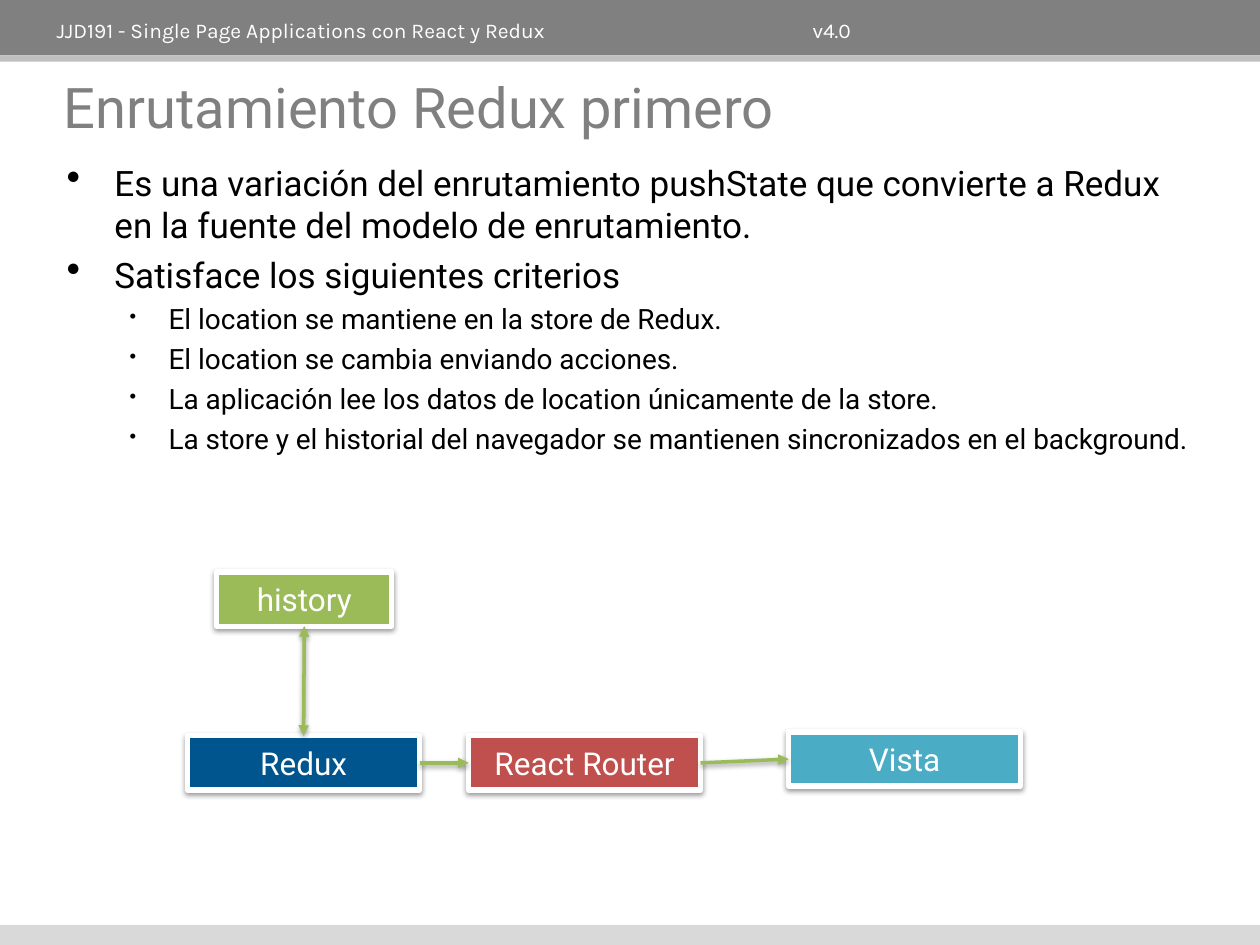
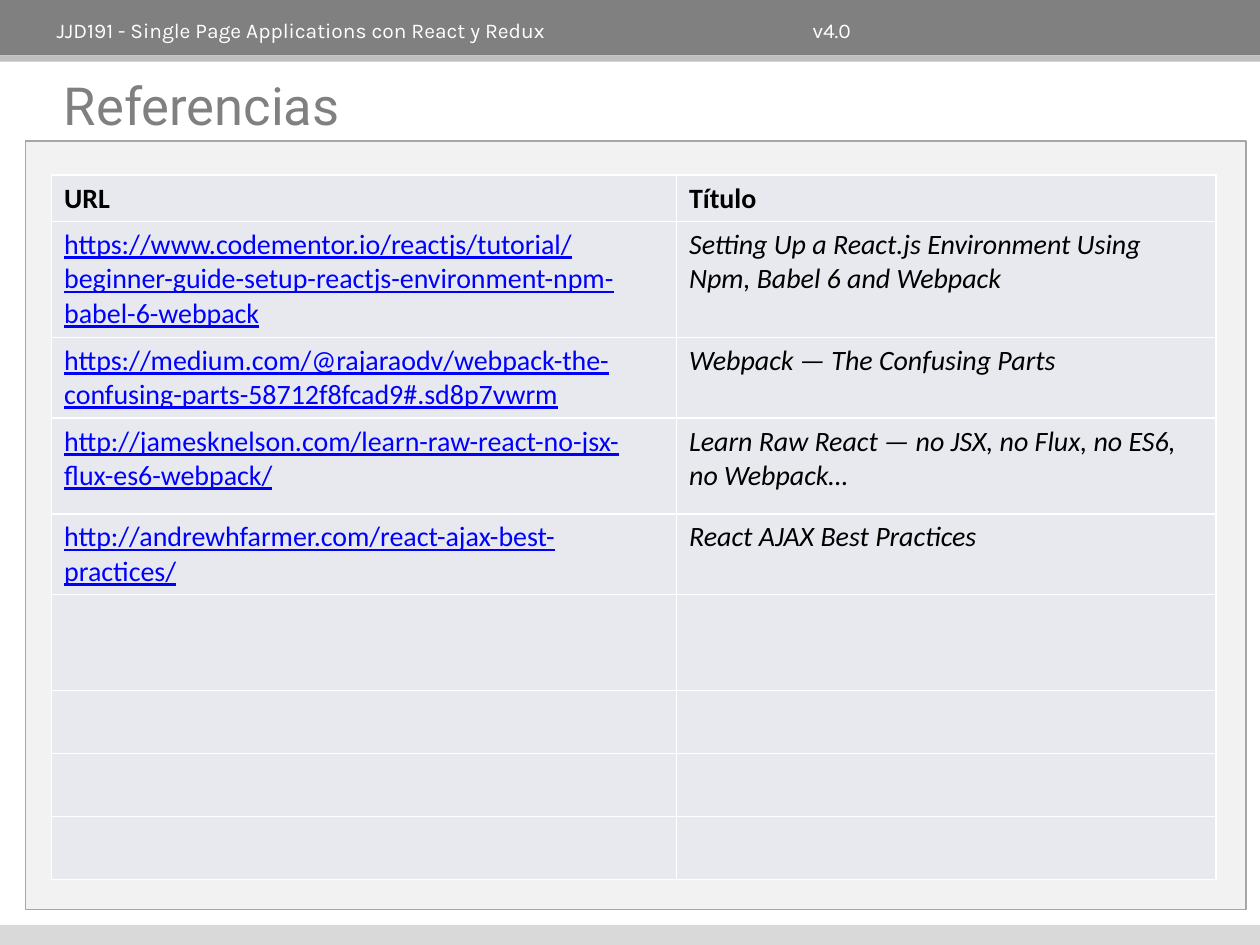
from dataclasses import dataclass

from lxml.etree import SubElement
from pptx import Presentation
from pptx.dml.color import RGBColor
from pptx.enum.shapes import MSO_CONNECTOR, MSO_SHAPE
from pptx.enum.text import MSO_ANCHOR, PP_ALIGN
from pptx.oxml.ns import qn
from pptx.util import Inches, Pt


@dataclass(frozen=True)
class Theme:
    white: str = "FFFFFF"
    black: str = "000000"
    gray: str = "808080"
    band_edge: str = "BFBFBF"
    footer: str = "D9D9D9"
    panel: str = "F2F2F2"
    panel_line: str = "A6A6A6"
    cell: str = "E7E9EE"
    link: str = "0000FF"
    green: str = "9BBB59"
    red: str = "C0504D"
    cyan: str = "4BACC6"
    blue: str = "00558E"
    font: str = "Roboto"
    header_font: str = "Karla"
    table_font: str = "Calibri"
    title_size: int = 32
    short_title_size: int = 30
    bullet_sizes: tuple = (20, 16)
    node_size: int = 18
    table_size: int = 16
    header_size: int = 12


THEME = Theme()
SLIDE_WIDTH, SLIDE_HEIGHT = Inches(10), Inches(7.5)
GRID_COLUMNS, GRID_ROWS = 10, 7.5
TOP, LEFT, BOTTOM, RIGHT = range(4)

# Bullet levels: left margin, hanging indent, bullet size in percent
BULLET_LEVELS = ((0.38, 0.38, 115), (0.81, 0.31, 70))

CRITERIA = [
    (0, "Es una variación del enrutamiento pushState que convierte a Redux "
        "en la fuente del modelo de enrutamiento."),
    (0, "Satisface los siguientes criterios"),
    (1, "El location se mantiene en la store de Redux."),
    (1, "El location se cambia enviando acciones."),
    (1, "La aplicación lee los datos de location únicamente de la store."),
    (1, "La store y el historial del navegador se mantienen sincronizados "
        "en el background."),
]

REFERENCES = [
    ("https://www.codementor.io/reactjs/tutorial/"
     "beginner-guide-setup-reactjs-environment-npm-babel-6-webpack",
     "Setting Up a React.js Environment Using Npm, Babel 6 and Webpack"),
    ("https://medium.com/@rajaraodv/"
     "webpack-the-confusing-parts-58712f8fcad9#.sd8p7vwrm",
     "Webpack — The Confusing Parts"),
    ("http://jamesknelson.com/learn-raw-react-no-jsx-flux-es6-webpack/",
     "Learn Raw React — no JSX, no Flux, no ES6, no Webpack…"),
    ("http://andrewhfarmer.com/react-ajax-best-practices/",
     "React AJAX Best Practices"),
]
REFERENCE_COLUMNS = (4.96, 4.28)
REFERENCE_ROWS = (0.37, 0.92, 0.64, 0.76, 0.64, 0.76, 0.5, 0.5, 0.5)


def across(columns):
    return round(SLIDE_WIDTH * columns / GRID_COLUMNS)


def down(rows):
    return round(SLIDE_HEIGHT * rows / GRID_ROWS)


def place(column, row, columns, rows):
    return across(column), down(row), across(columns), down(rows)


def rgb(color):
    return RGBColor.from_string(color)


def style(paragraph, size, color, name=THEME.font, **flags):
    font = paragraph.font
    font.size, font.name = Pt(size), name
    font.color.rgb = rgb(color)
    for flag, value in flags.items():
        setattr(font, flag, value)


def add_rectangle(slide, area, fill, line=None, line_width=1):
    shape = slide.shapes.add_shape(MSO_SHAPE.RECTANGLE, *place(*area))
    shape.fill.solid()
    shape.fill.fore_color.rgb = rgb(fill)
    if line:
        shape.line.color.rgb = rgb(line)
        shape.line.width = Pt(line_width)
    else:
        shape.line.fill.background()
    shape.shadow.inherit = False
    return shape


def add_text_box(slide, area):
    frame = slide.shapes.add_textbox(*place(*area)).text_frame
    frame.word_wrap = True
    return frame


def add_soft_shadow(properties):
    """Put a faint shadow straight below the shape with these spPr properties."""
    effects = properties.find(qn("a:effectLst"))
    if effects is None:
        effects = SubElement(properties, qn("a:effectLst"))
    shadow = SubElement(effects, qn("a:outerShdw"), blurRad=str(Pt(3.1)),
                        dist=str(Pt(1.6)), dir="5400000", rotWithShape="0")
    color = SubElement(shadow, qn("a:srgbClr"), val=THEME.black)
    SubElement(color, qn("a:alpha"), val="38000")


def add_header_text(slide):
    paragraph = add_text_box(slide, (0.35, 0.09, 8.45, 0.31)).paragraphs[0]
    paragraph.text = "JJD191 - Single Page Applications con React y Redux\tv4.0"
    tabs = SubElement(paragraph._p.get_or_add_pPr(), qn("a:tabLst"))
    SubElement(tabs, qn("a:tab"), pos=str(across(6)), algn="l")
    style(paragraph, THEME.header_size, THEME.white, THEME.header_font)


def add_framed_slide(presentation):
    """Add a blank slide with the header and footer bands."""
    slide = presentation.slides.add_slide(presentation.slide_layouts[6])
    add_rectangle(slide, (0, 0, GRID_COLUMNS, 0.44), THEME.gray)
    add_header_text(slide)
    add_rectangle(slide, (0, 0.44, GRID_COLUMNS, 0.05), THEME.band_edge)
    add_rectangle(slide, (0, 7.34, GRID_COLUMNS, 0.16), THEME.footer)
    return slide


def add_title(slide, text, size=THEME.title_size):
    paragraph = add_text_box(slide, (0.41, 0.53, 9.47, 0.6)).paragraphs[0]
    paragraph.text = text
    style(paragraph, size, THEME.gray)


def add_bullets(slide, area, items):
    frame = add_text_box(slide, area)
    for index, (level, text) in enumerate(items):
        paragraph = frame.add_paragraph() if index else frame.paragraphs[0]
        paragraph.text, paragraph.level = text, level
        margin, hanging, bullet_size = BULLET_LEVELS[level]
        size = THEME.bullet_sizes[level]
        if index:
            paragraph.space_before = Pt(round(size * 0.23, 1))
        properties = paragraph._p.get_or_add_pPr()
        properties.set("marL", str(across(margin)))
        properties.set("indent", str(-across(hanging)))
        SubElement(properties, qn("a:buSzPct"), val=str(bullet_size * 1000))
        SubElement(properties, qn("a:buChar"), char="•")
        style(paragraph, size, THEME.black)


def add_node(slide, text, fill, column, row, columns=1.84):
    node = add_rectangle(slide, (column, row, columns, 0.43), fill, THEME.white, 3)
    add_soft_shadow(node._element.spPr)
    frame = node.text_frame
    frame.vertical_anchor = MSO_ANCHOR.MIDDLE
    frame.margin_top = frame.margin_bottom = 0
    paragraph = frame.paragraphs[0]
    paragraph.text, paragraph.alignment = text, PP_ALIGN.CENTER
    style(paragraph, THEME.node_size, THEME.white)
    return node


def connect(slide, start, start_side, end, end_side, ends=("tailEnd",)):
    arrow = slide.shapes.add_connector(MSO_CONNECTOR.STRAIGHT, 0, 0, 0, 0)
    arrow.begin_connect(start, start_side)
    arrow.end_connect(end, end_side)
    arrow.line.color.rgb = rgb(THEME.green)
    arrow.line.width = Pt(2)
    for end_name in ends:
        SubElement(arrow.line._get_or_add_ln(), qn(f"a:{end_name}"), type="triangle")
    add_soft_shadow(arrow._element.spPr)


def paint_cell(cell):
    properties = cell._tc.get_or_add_tcPr()
    for side in "LRTB":
        border = SubElement(properties, qn(f"a:ln{side}"), w=str(Pt(1)))
        SubElement(SubElement(border, qn("a:solidFill")), qn("a:srgbClr"),
                   val=THEME.white)
    cell.fill.solid()
    cell.fill.fore_color.rgb = rgb(THEME.cell)


def write_row(table, row, texts, styles):
    for column, (text, (color, flags)) in enumerate(zip(texts, styles)):
        paragraph = table.cell(row, column).text_frame.paragraphs[0]
        paragraph.text = text
        style(paragraph, THEME.table_size, color, THEME.table_font, **flags)


def add_reference_table(slide):
    area = place(0.41, 1.39, sum(REFERENCE_COLUMNS), sum(REFERENCE_ROWS))
    table = slide.shapes.add_table(
        len(REFERENCE_ROWS), len(REFERENCE_COLUMNS), *area).table
    table.first_row = table.horz_banding = False
    for column, width in zip(table.columns, REFERENCE_COLUMNS):
        column.width = across(width)
    for row, height in zip(table.rows, REFERENCE_ROWS):
        row.height = down(height)
    for cell in table.iter_cells():
        paint_cell(cell)
    write_row(table, 0, ("URL", "Título"), [(THEME.black, {"bold": True})] * 2)
    reference_styles = [(THEME.link, {"underline": True}),
                        (THEME.black, {"italic": True})]
    for row, reference in enumerate(REFERENCES, start=1):
        write_row(table, row, reference, reference_styles)


def build_routing_slide(presentation):
    slide = add_framed_slide(presentation)
    add_title(slide, "Enrutamiento Redux primero")
    add_bullets(slide, (0.43, 1.23, 9.21, 2.6), CRITERIA)
    history = add_node(slide, "history", THEME.green, 1.72, 4.54, 1.39)
    router = add_node(slide, "React Router", THEME.red, 3.72, 5.84)
    view = add_node(slide, "Vista", THEME.cyan, 6.26, 5.81)
    redux = add_node(slide, "Redux", THEME.blue, 1.49, 5.84)
    connect(slide, redux, RIGHT, router, LEFT)
    connect(slide, router, RIGHT, view, LEFT)
    connect(slide, redux, TOP, history, BOTTOM, ("headEnd", "tailEnd"))


def build_references_slide(presentation):
    slide = add_framed_slide(presentation)
    add_rectangle(slide, (0.2, 1.12, 9.69, 6.1), THEME.panel, THEME.panel_line, 0.75)
    add_title(slide, "Referencias", THEME.short_title_size)
    add_reference_table(slide)


def main():
    presentation = Presentation()
    presentation.slide_width, presentation.slide_height = SLIDE_WIDTH, SLIDE_HEIGHT
    build_routing_slide(presentation)
    build_references_slide(presentation)
    presentation.save("out.pptx")


if __name__ == "__main__":
    main()
